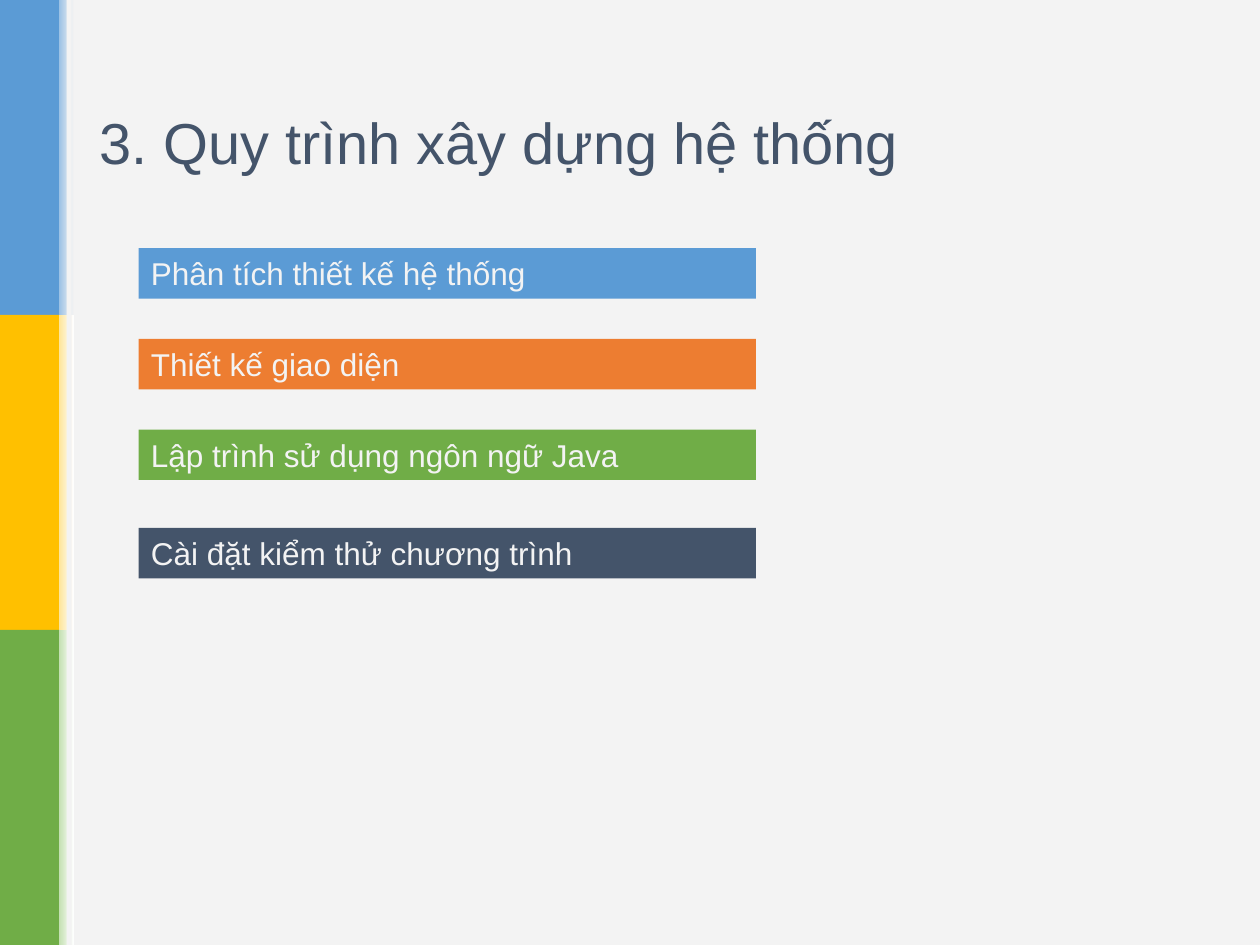
import pptx
import pptx.dml.color
import pptx.enum.shapes
import pptx.enum.text
import pptx.util

Pt = pptx.util.Pt

COLORS = {
    "blue": "5B9BD5", "orange": "ED7D31", "green": "70AD47", "yellow": "FFC000",
    "navy": "44546A", "paper": "F3F3F3", "white": "FFFFFF",
    "pale blue": "9CC2E5", "pale yellow": "FEE599", "pale green": "C4E0B2",
}
FONT = "Arial"
WIDTH, HEIGHT = 720, 540

TITLE = "3. Quy trình xây dựng hệ thống"
# Text, fill colour, top
STEPS = [
    ("Phân tích thiết kế hệ thống", "blue", 141.84),
    ("Thiết kế giao diện", "orange", 193.68),
    ("Lập trình sử dụng ngôn ngữ Java", "green", 245.52),
    ("Cài đặt kiểm thử chương trình", "navy", 301.68),
]
# Side band colour, gradient start, gradient end; top to bottom
BANDS = [
    ("blue", "pale blue", "paper"),
    ("yellow", "pale yellow", "white"),
    ("green", "pale green", "white"),
]


def rgb(name):
    return pptx.dml.color.RGBColor.from_string(COLORS[name])


def add_rectangle(slide, left, top, width, height, color, fade_to=None):
    shape = slide.shapes.add_shape(
        pptx.enum.shapes.MSO_SHAPE.RECTANGLE,
        Pt(left), Pt(top), Pt(width), Pt(height))
    shape.shadow.inherit = False
    shape.line.fill.background()
    if fade_to:
        shape.fill.gradient()
        shape.fill.gradient_angle = 0
        for stop, name in zip(shape.fill.gradient_stops, (color, fade_to)):
            stop.color.rgb = rgb(name)
    else:
        shape.fill.solid()
        shape.fill.fore_color.rgb = rgb(color)
    return shape


def write(shape, text, size, color, anchor):
    text_frame = shape.text_frame
    text_frame.text = text
    text_frame.word_wrap = True
    text_frame.vertical_anchor = anchor
    paragraph = text_frame.paragraphs[0]
    paragraph.alignment = pptx.enum.text.PP_ALIGN.LEFT
    font = paragraph.runs[0].font
    font.name = FONT
    font.size = Pt(size)
    font.color.rgb = rgb(color)


def main():
    presentation = pptx.Presentation()
    presentation.slide_width, presentation.slide_height = Pt(WIDTH), Pt(HEIGHT)
    slide = presentation.slides.add_slide(presentation.slide_layouts[6])
    slide.background.fill.solid()
    slide.background.fill.fore_color.rgb = rgb("blue")

    add_rectangle(slide, 0, 0, WIDTH, HEIGHT, "paper")
    band_height = HEIGHT / len(BANDS)
    for index, (color, fade_from, fade_to) in enumerate(BANDS):
        top = index * band_height
        add_rectangle(slide, 0, top, 33.84, band_height, color)
        add_rectangle(slide, 33.84, top, 8.28, band_height, fade_from, fade_to)
    add_rectangle(slide, 38.16, 0, 2.88, HEIGHT, "paper")

    anchors = pptx.enum.text.MSO_ANCHOR
    title = slide.shapes.add_textbox(Pt(49.68), Pt(28.8), Pt(621.36), Pt(104.4))
    write(title, TITLE, 33, "navy", anchors.MIDDLE)

    for text, color, top in STEPS:
        step = add_rectangle(slide, 79.2, top, 352.8, 28.8, color)
        write(step, text, 18, "paper", anchors.TOP)
        step.text_frame.auto_size = pptx.enum.text.MSO_AUTO_SIZE.SHAPE_TO_FIT_TEXT

    presentation.save("out.pptx")


if __name__ == "__main__":
    main()
